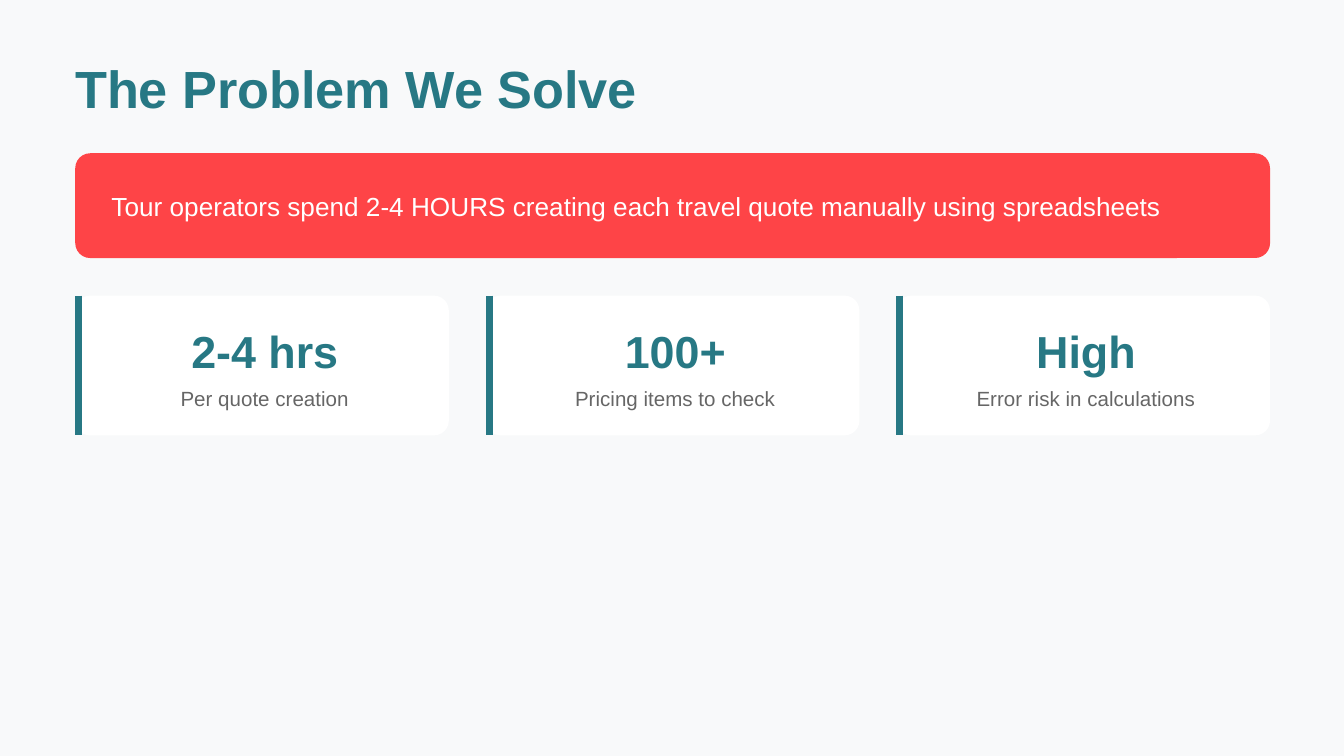
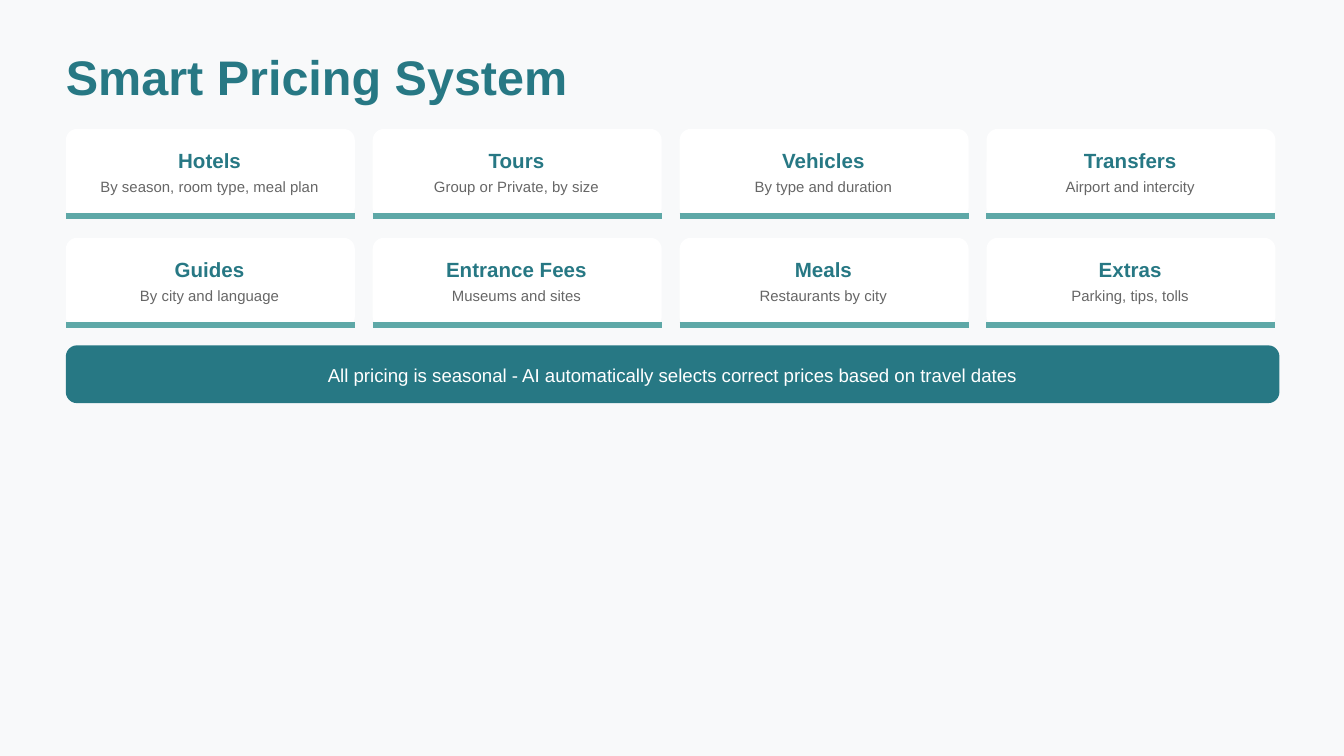
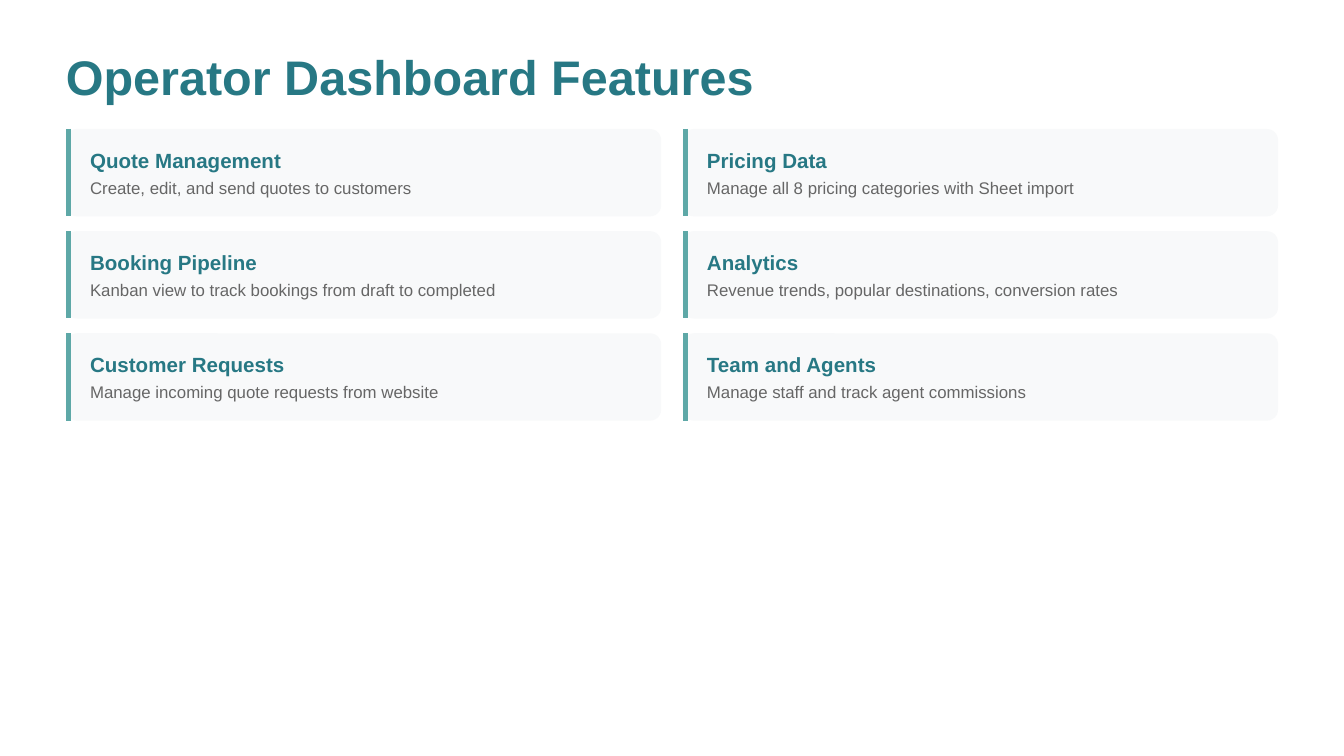
from dataclasses import dataclass

from lxml import etree
from pptx import Presentation
from pptx.dml.color import RGBColor
from pptx.enum.shapes import MSO_CONNECTOR, MSO_SHAPE
from pptx.enum.text import PP_ALIGN
from pptx.oxml.ns import qn
from pptx.util import Inches, Pt

LEFT, CENTER = PP_ALIGN.LEFT, PP_ALIGN.CENTER
ROUNDED, STRAIGHT = MSO_SHAPE.ROUNDED_RECTANGLE, MSO_CONNECTOR.STRAIGHT

# Content
PROBLEM = "The Problem We Solve"
PROBLEM_BANNER = "Tour operators spend 2-4 HOURS creating each travel quote manually using spreadsheets"
STATS = [
    ("2-4 hrs", "Per quote creation"),
    ("100+", "Pricing items to check"),
    ("High", "Error risk in calculations"),
]

PRICING = "Smart Pricing System"
PRICING_BANNER = "All pricing is seasonal - AI automatically selects correct prices based on travel dates"
CATEGORIES = [
    ("Hotels", "By season, room type, meal plan"),
    ("Tours", "Group or Private, by size"),
    ("Vehicles", "By type and duration"),
    ("Transfers", "Airport and intercity"),
    ("Guides", "By city and language"),
    ("Entrance Fees", "Museums and sites"),
    ("Meals", "Restaurants by city"),
    ("Extras", "Parking, tips, tolls"),
]

DASHBOARD = "Operator Dashboard Features"
FEATURES = [
    ("Quote Management", "Create, edit, and send quotes to customers"),
    ("Booking Pipeline", "Kanban view to track bookings from draft to completed"),
    ("Customer Requests", "Manage incoming quote requests from website"),
    ("Pricing Data", "Manage all 8 pricing categories with Sheet import"),
    ("Analytics", "Revenue trends, popular destinations, conversion rates"),
    ("Team and Agents", "Manage staff and track agent commissions"),
]


@dataclass(frozen=True)
class Theme:
    font: str = "Arial"
    teal: str = "277884"
    mint: str = "5EA8A7"
    red: str = "FE4447"
    gray: str = "666666"
    pale: str = "F8F9FA"
    white: str = "FFFFFF"
    title_large: int = 28
    title: int = 26
    banner_large: int = 14
    banner: int = 10
    stat: int = 24
    heading: int = 11
    note_large: int = 11
    note: int = 9
    note_small: int = 8


T = Theme()


@dataclass(frozen=True)
class CardStyle:
    """Lengths in inches, measured from the card's corner; type and lines in points."""
    width: float
    height: float
    fill: str
    radius: int
    edge: str
    edge_color: str
    edge_width: float
    inset: float
    text_width: float
    head_top: float
    head_height: float
    head_size: int
    head_after: int
    note_top: float
    note_height: float
    note_size: int
    align: int


STAT_CARD = CardStyle(2.78, 1.04, T.white, 8, "left", T.teal, 3.75, 0.23, 2.36,
                      0.21, 0.39, T.stat, 5, 0.67, 0.17, T.note_large, CENTER)
CATEGORY_CARD = CardStyle(2.15, 0.67, T.white, 6, "bottom", T.mint, 3, 0.19, 1.76,
                          0.14, 0.17, T.heading, 4, 0.36, 0.12, T.note_small, CENTER)
FEATURE_CARD = CardStyle(4.43, 0.65, T.pale, 6, "left", T.mint, 3, 0.18, 4.19,
                         0.14, 0.17, T.heading, 4, 0.36, 0.15, T.note, LEFT)


# Building parts
def add_text(s, box, text, size, color, bold=False, align=LEFT, after=0):
    tf = s.shapes.add_textbox(*map(Inches, box)).text_frame
    tf.word_wrap = True
    tf.margin_left = tf.margin_top = tf.margin_right = tf.margin_bottom = 0
    p = tf.paragraphs[0]
    p.alignment = align
    p.space_after = Pt(after)
    r = p.add_run()
    r.text = text
    r.font.name = T.font
    r.font.size = Pt(size)
    r.font.bold = bold
    r.font.color.rgb = RGBColor.from_string(color)


def add_panel(s, box, fill, radius):
    sp = s.shapes.add_shape(ROUNDED, *map(Inches, box))
    sp.adjustments[0] = Pt(radius) / sp.height
    sp.shadow.inherit = False
    sp.fill.solid()
    sp.fill.fore_color.rgb = RGBColor.from_string(fill)
    sp.line.fill.background()


def add_line(s, start, end, color, width):
    line = s.shapes.add_connector(STRAIGHT, *map(Inches, start + end))
    line.line.color.rgb = RGBColor.from_string(color)
    line.line.width = Pt(width)
    etree.SubElement(line._element.spPr, qn("a:effectLst"))


def add_card(s, x, y, head, note, c):
    add_panel(s, (x, y, c.width, c.height), c.fill, c.radius)
    right, bottom = x + c.width, y + c.height
    half = c.edge_width / 72 / 2
    if c.edge == "left":
        start, end = (x + half, y), (x + half, bottom)
    else:
        start, end = (x, bottom - half), (right, bottom - half)
    add_line(s, start, end, c.edge_color, c.edge_width)
    add_text(s, (x + c.inset, y + c.head_top, c.text_width, c.head_height),
             head, c.head_size, T.teal, True, c.align, c.head_after)
    add_text(s, (x + c.inset, y + c.note_top, c.text_width, c.note_height),
             note, c.note_size, T.gray, align=c.align)


def add_grid(s, items, style, columns, left, top, total_width, row_pitch=0, by_column=False):
    """Spread the columns evenly over total_width, filling by row or by column."""
    pitch = (total_width - style.width) / (columns - 1)
    rows = len(items) // columns
    for i, (head, note) in enumerate(items):
        if by_column:
            col, row = divmod(i, rows)
        else:
            row, col = divmod(i, columns)
        add_card(s, left + col * pitch, top + row * row_pitch, head, note, style)


def add_slide(prs, background, title, box, size, after):
    s = prs.slides.add_slide(prs.slide_layouts[6])
    s.background.fill.solid()
    s.background.fill.fore_color.rgb = RGBColor.from_string(background)
    add_text(s, box, title, size, T.teal, True, after=after)
    return s


def main():
    prs = Presentation()
    prs.slide_width = Inches(10)
    prs.slide_height = prs.slide_width * 9 // 16
    compact_title = ((0.49, 0.35, 9.21, 0.41), T.title, 15)

    # Problem: banner and three figures
    s = add_slide(prs, T.pale, PROBLEM, (0.56, 0.42, 9.07, 0.45), T.title_large, 20)
    add_panel(s, (0.56, 1.14, 8.89, 0.78), T.red, 8)
    add_text(s, (0.83, 1.42, 8.5, 0.23), PROBLEM_BANNER, T.banner_large, T.white)
    add_grid(s, STATS, STAT_CARD, 3, 0.56, 2.2, 8.89)

    # Pricing: eight categories and a closing banner
    s = add_slide(prs, T.pale, PRICING, *compact_title)
    add_grid(s, CATEGORIES, CATEGORY_CARD, 4, 0.49, 0.96, 9, row_pitch=0.81)
    add_panel(s, (0.49, 2.57, 9.03, 0.43), T.teal, 6)
    add_text(s, (0.61, 2.71, 8.78, 0.16), PRICING_BANNER, T.banner, T.white, align=CENTER)

    # Dashboard: six features
    s = add_slide(prs, T.white, DASHBOARD, *compact_title)
    add_grid(s, FEATURES, FEATURE_CARD, 2, 0.49, 0.96, 9.02, row_pitch=0.76, by_column=True)

    prs.save("out.pptx")


if __name__ == "__main__":
    main()
